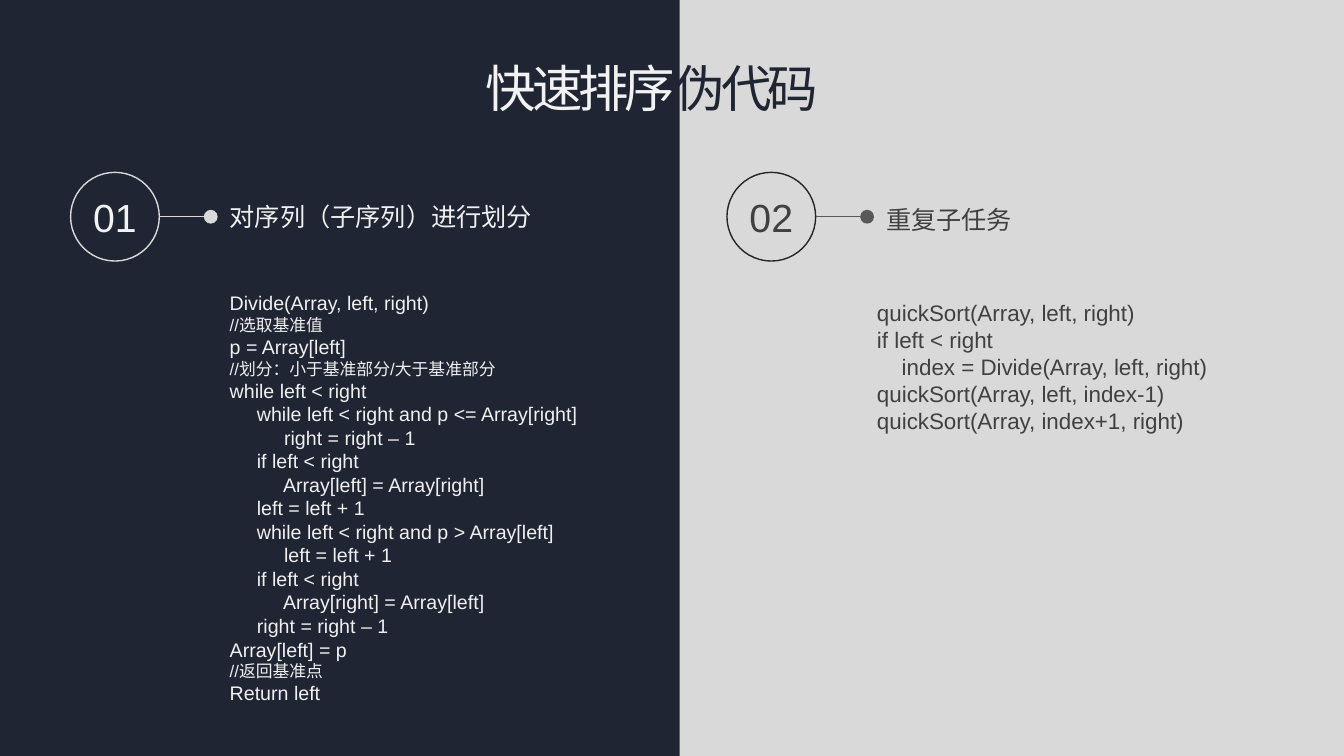
from dataclasses import dataclass
from lxml.etree import SubElement
from pptx import Presentation
from pptx.dml.color import RGBColor
from pptx.enum.shapes import MSO_CONNECTOR, MSO_SHAPE
from pptx.enum.text import MSO_ANCHOR, PP_ALIGN
from pptx.oxml.ns import qn
from pptx.util import Inches, Pt


@dataclass(frozen=True)
class Theme:
    dark: str = "1F2533"
    panel: str = "D9D9D9"
    title_light: str = "F2F2F2"
    font: str = "Arial"
    title_font: str = "Noto Sans CJK JP"
    title_size: int = 36
    number_size: int = 28
    heading_size: int = 18
    comment_size: int = 12
    line_pitch: float = 1.2


@dataclass(frozen=True)
class Palette:
    ring: str
    link: str
    number: str
    text: str


@dataclass(frozen=True)
class Section:
    number: str
    heading: str
    code: str
    palette: Palette
    code_size: int
    alignment: PP_ALIGN
    heading_offset: tuple
    code_offset: tuple
    code_extent: tuple


THEME = Theme()
WIDTH, HEIGHT = 13.33, 7.5
SPLIT = 6.74
CIRCLE = 0.88
LINK = 0.51

DIVIDE_CODE = """Divide(Array, left, right)
//选取基准值
p = Array[left]
//划分：小于基准部分/大于基准部分
while left < right
     while left < right and p <= Array[right]
          right = right – 1
     if left < right
          Array[left] = Array[right]
     left = left + 1
     while left < right and p > Array[left]
          left = left + 1
     if left < right
          Array[right] = Array[left]
     right = right – 1
Array[left] = p
//返回基准点
Return left"""

SORT_CODE = """quickSort(Array, left, right)
if left < right
    index = Divide(Array, left, right)
quickSort(Array, left, index-1)
quickSort(Array, index+1, right)"""

SECTIONS = [
    (0.7, 1.71, Section(
        "01", "对序列（子序列）进行划分", DIVIDE_CODE,
        Palette("D9D9D9", "D9D9D9", "F2F2F2", "F0F0F0"),
        14, PP_ALIGN.LEFT, (1.48, 0.24), (1.48, 1.13), (3.73, 4.6))),
    (7.21, 1.71, Section(
        "02", "重复子任务", SORT_CODE,
        Palette("262626", "595959", "404040", "404040"),
        16, PP_ALIGN.JUSTIFY, (1.48, 0.27), (1.39, 1.21), (3.54, 1.45))),
]


def color(value):
    return RGBColor.from_string(value)


def style(font, size, value, name=THEME.font):
    font.size = Pt(size)
    font.name = name
    font.color.rgb = color(value)


def add_text(slide, left, top, width, height):
    shape = slide.shapes.add_textbox(
        Inches(left), Inches(top), Inches(width), Inches(height))
    shape.text_frame.word_wrap = True
    return shape.text_frame


def add_panel(slide, left, top, width, height):
    shape = slide.shapes.add_shape(
        MSO_SHAPE.RECTANGLE, Inches(left), Inches(top), Inches(width), Inches(height))
    shape.shadow.inherit = False
    shape.fill.solid()
    shape.fill.fore_color.rgb = color(THEME.panel)
    shape.line.fill.background()


def add_title(slide, left, top, width, height):
    paragraph = add_text(slide, left, top, width, height).paragraphs[0]
    paragraph.alignment = PP_ALIGN.CENTER
    for text, value in (("快速排序", THEME.title_light), ("伪代码", THEME.dark)):
        run = paragraph.add_run()
        run.text = text
        style(run.font, THEME.title_size, value, THEME.title_font)
        properties = run._r.get_or_add_rPr()
        properties.set("spc", "-300")
        SubElement(properties, qn("a:ea"), typeface=THEME.title_font)


def add_number(slide, left, top, section):
    shape = slide.shapes.add_shape(
        MSO_SHAPE.OVAL, Inches(left), Inches(top), Inches(CIRCLE), Inches(CIRCLE))
    shape.shadow.inherit = False
    shape.fill.background()
    shape.line.color.rgb = color(section.palette.ring)
    shape.line.width = Pt(1)
    frame = shape.text_frame
    frame.word_wrap = False
    frame.vertical_anchor = MSO_ANCHOR.MIDDLE
    paragraph = frame.paragraphs[0]
    paragraph.text = section.number
    paragraph.alignment = PP_ALIGN.CENTER
    style(paragraph.font, THEME.number_size, section.palette.number)


def add_link(slide, left, middle, value):
    connector = slide.shapes.add_connector(
        MSO_CONNECTOR.STRAIGHT, Inches(left), Inches(middle),
        Inches(left + LINK), Inches(middle))
    connector.line.color.rgb = color(value)
    connector.line.width = Pt(0.5)
    SubElement(connector.line._get_or_add_ln(), qn("a:tailEnd"),
               type="oval", w="lg", len="lg")
    SubElement(connector._element.spPr, qn("a:effectLst"))


def add_code(slide, left, top, width, height, section):
    frame = add_text(slide, left, top, width, height)
    for index, line in enumerate(section.code.split("\n")):
        paragraph = frame.add_paragraph() if index else frame.paragraphs[0]
        paragraph.text = line
        paragraph.alignment = section.alignment
        size = THEME.comment_size if line.startswith("//") else section.code_size
        paragraph.line_spacing = Pt(round(size * THEME.line_pitch, 1))
        style(paragraph.font, size, section.palette.text)


def add_section(slide, left, top, section):
    add_number(slide, left, top, section)
    add_link(slide, left + CIRCLE, top + CIRCLE / 2, section.palette.link)
    across, down = section.heading_offset
    paragraph = add_text(slide, left + across, top + down, 3.88, 0.4).paragraphs[0]
    paragraph.text = section.heading
    style(paragraph.font, THEME.heading_size, section.palette.text)
    across, down = section.code_offset
    add_code(slide, left + across, top + down, *section.code_extent, section)


def main():
    presentation = Presentation()
    presentation.slide_width = Inches(WIDTH)
    presentation.slide_height = Inches(HEIGHT)
    slide = presentation.slides.add_slide(presentation.slide_layouts[6])
    slide.background.fill.solid()
    slide.background.fill.fore_color.rgb = color(THEME.dark)
    add_panel(slide, SPLIT, 0, WIDTH - SPLIT, HEIGHT)
    for left, top, section in SECTIONS:
        add_section(slide, left, top, section)
    add_title(slide, 3.62, 0.52, 5.69, 0.71)
    presentation.save("out.pptx")


if __name__ == "__main__":
    main()
